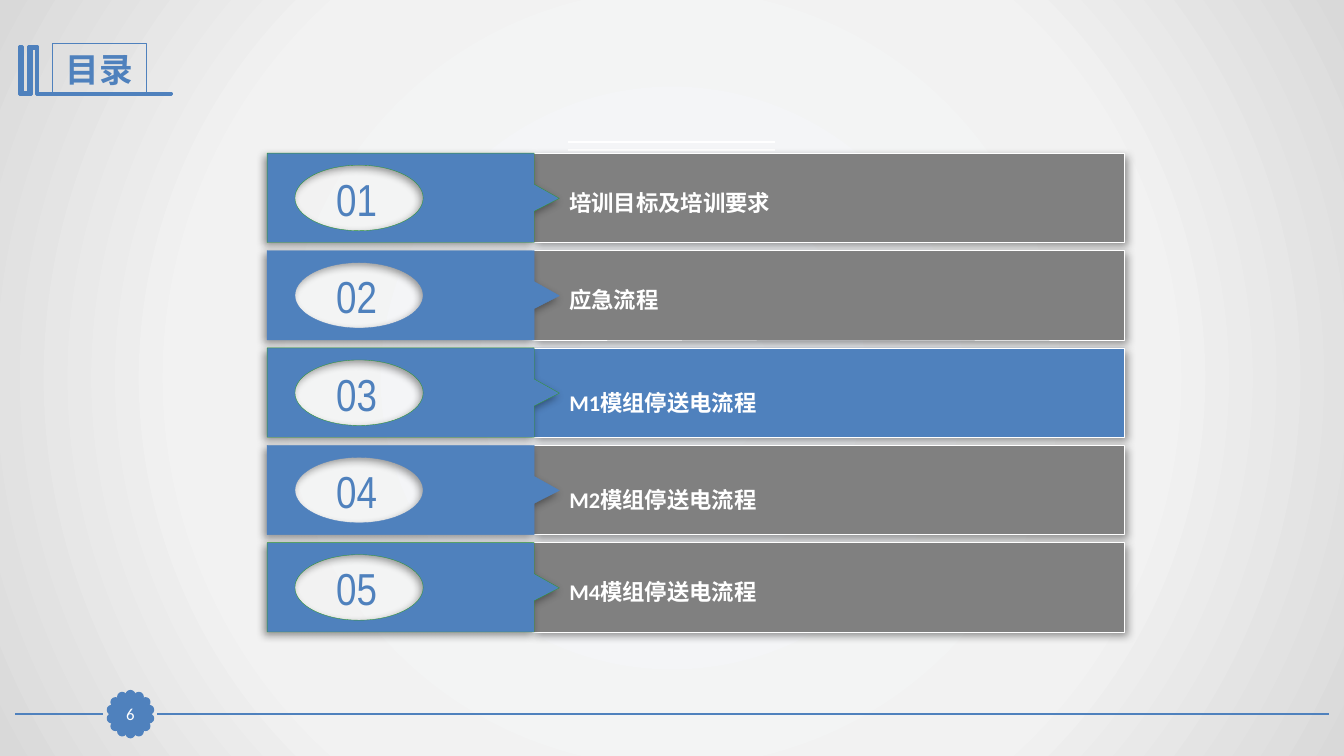
from math import cos, pi, sin

from pptx import Presentation
from pptx.dml.color import RGBColor
from pptx.enum.shapes import MSO_CONNECTOR, MSO_SHAPE
from pptx.enum.text import MSO_ANCHOR, PP_ALIGN
from pptx.oxml import parse_xml
from pptx.oxml.ns import nsdecls
from pptx.util import Pt

HUES = {"blue": "4F81BD", "cyan": "28A9D6", "grey": "808080",
        "green": "339933", "white": "FFFFFF", "black": "000000",
        "core": "F6F9FC", "mid": "F2F2F2", "edge": "D9D9D9"}


def paint(shape, line, width, fill=None, angle=None):
    """Set outline and fill; angle in degrees adds a soft shadow, None removes it."""
    shape.line.color.rgb = RGBColor.from_string(HUES[line])
    shape.line.width = Pt(width)
    if fill:
        shape.fill.solid()
        shape.fill.fore_color.rgb = RGBColor.from_string(HUES[fill])
    shade = "" if angle is None else (
        f'<a:outerShdw blurRad="{Pt(6)}" dist="{Pt(3)}" dir="{angle * 60000}" '
        f'algn="tl" rotWithShape="0"><a:srgbClr val="{HUES["black"]}">'
        '<a:alpha val="40000"/></a:srgbClr></a:outerShdw>')
    shape.element.spPr.append(
        parse_xml(f'<a:effectLst {nsdecls("a")}>{shade}</a:effectLst>'))


def write(shape, text, size, hue, font="Calibri", bold=False,
          align=PP_ALIGN.LEFT, anchor=MSO_ANCHOR.TOP, space=None, inset=None):
    frame = shape.text_frame
    frame.word_wrap = True
    frame.vertical_anchor = anchor
    if inset is not None:
        frame.margin_left = frame.margin_right = Pt(inset)
        frame.margin_top = frame.margin_bottom = Pt(inset)
    para = frame.paragraphs[0]
    para.alignment = align
    para.line_spacing = space
    run = para.add_run()
    run.text = text
    run.font.name = font
    run.font.size = Pt(size)
    run.font.bold = bold
    run.font.color.rgb = RGBColor.from_string(HUES[hue])


deck = Presentation()
deck.slide_width, deck.slide_height = Pt(960), Pt(540)
slide = deck.slides.add_slide(deck.slide_layouts[5])
shapes = slide.shapes

# Radial background
stops = "".join(
    f'<a:gs pos="{pos}000"><a:srgbClr val="{HUES[hue]}"/></a:gs>'
    for pos, hue in ((0, "core"), (63, "mid"), (100, "edge")))
slide.element.cSld.insert(0, parse_xml(
    f'<p:bg {nsdecls("p", "a")}><p:bgPr><a:gradFill><a:gsLst>{stops}</a:gsLst>'
    '<a:path path="circle"><a:fillToRect l="50000" t="50000" r="50000" '
    'b="50000"/></a:path></a:gradFill><a:effectLst/></p:bgPr></p:bg>'))

# Title with book mark
title = shapes.title
title.left, title.top, title.width, title.height = Pt(37.4), Pt(31), Pt(67), Pt(36)
paint(title, "blue", 0.75)
write(title, "目录", 24, "blue", font="Arial Narrow", bold=True,
      align=PP_ALIGN.CENTER, anchor=MSO_ANCHOR.MIDDLE)

book = [(27.2, 33.2), (27.2, 66.4), (122.7, 66.4), (122.7, 67.4), (26, 67.4),
        (26, 34.5), (22.4, 34.5), (22.4, 67.4), (13.8, 67.4), (13.8, 33.2),
        (16.2, 33.2), (16.2, 65.8), (20.2, 65.8), (20.2, 33.2)]
pen = shapes.build_freeform(Pt(book[0][0]), Pt(book[0][1]))
pen.add_line_segments([(Pt(x), Pt(y)) for x, y in book[1:]])
paint(pen.convert_to_shape(), "blue", 2, "cyan")

# Footer rules and the white rules above the list
for start, end, y, hue, width in (
        (949, 112.3, 510.1, "blue", 1.25), (73.4, 10.8, 510.1, "blue", 1.25),
        (406, 553.7, 101.5, "white", 1.5), (406, 553.7, 107.3, "white", 1.5)):
    rule = shapes.add_connector(MSO_CONNECTOR.STRAIGHT, Pt(start), Pt(y), Pt(end), Pt(y))
    paint(rule, hue, width)

# Page badge: a ring of dots around a square
DOTS, RING, DOT = 14, 13.7, 5.2
wreath = shapes.add_group_shape().shapes
for n in range(DOTS):
    turn = 2 * pi * n / DOTS
    dot = wreath.add_shape(
        MSO_SHAPE.OVAL, Pt(93.2 + RING * sin(turn) - DOT / 2),
        Pt(510.1 - RING * cos(turn) - DOT / 2), Pt(DOT), Pt(DOT))
    paint(dot, "blue", 2, "blue")
badge = shapes.add_shape(MSO_SHAPE.RECTANGLE, Pt(81.6), Pt(498.8), Pt(23.2), Pt(22.6))
paint(badge, "blue", 0.75, "blue")
write(badge, "6", 12, "white", align=PP_ALIGN.CENTER,
      anchor=MSO_ANCHOR.MIDDLE, inset=0)

# Agenda rows: text, bar colour, tag outline, line spacing
rows = [("培训目标及培训要求", "grey", "green", None),
        ("应急流程", "grey", "blue", None),
        ("M1模组停送电流程", "blue", "green", 1.2),
        ("M2模组停送电流程", "grey", "blue", 1.2),
        ("M4模组停送电流程", "grey", "green", None)]
LEFT, TOP, STEP, HIGH = 190.8, 109.4, 69.55, 63.8
flag = [(0, 0), (190.8, 0), (190.8, 22.2), (208.8, 32.3),
        (190.8, 41.5), (190.8, HIGH), (0, HIGH)]

# Oval hole in the tag: four curves, offsets in units of its radii
MIDX, MIDY, RADX, RADY, BEND = 65.7, 32, 45.8, 23.4, 0.55
curves = [[(0, -1)],
          [(-BEND, -1), (-1, -BEND), (-1, 0)], [(-1, BEND), (-BEND, 1), (0, 1)],
          [(BEND, 1), (1, BEND), (1, 0)], [(1, -BEND), (BEND, -1), (0, -1)]]
hole = []
for curve in curves:
    dots = "".join(f'<a:pt x="{Pt(MIDX + RADX * x)}" y="{Pt(MIDY + RADY * y)}"/>'
                   for x, y in curve)
    tag = "cubicBezTo" if len(curve) == 3 else "moveTo"
    hole.append(f'<a:{tag} {nsdecls("a")}>{dots}</a:{tag}>')
hole.append(f'<a:close {nsdecls("a")}/>')

for n, (text, fill, rim, space) in enumerate(rows):
    top = TOP + n * STEP
    row = shapes.add_group_shape().shapes
    bar = row.add_shape(MSO_SHAPE.RECTANGLE, Pt(380.2), Pt(top), Pt(422.9), Pt(HIGH))
    paint(bar, "white", 0.25, fill, angle=45)

    side = [(Pt(LEFT + x), Pt(top + y)) for x, y in flag]
    pen = row.build_freeform(*side[0])
    pen.add_line_segments(side[1:])
    flap = pen.convert_to_shape()
    trace = flap.element.xpath(".//a:pathLst/a:path")[0]
    for at, part in enumerate(hole):
        trace.insert(at, parse_xml(part))
    paint(flap, rim, 0.25, "blue", angle=135)

    count = row.add_textbox(Pt(218.5), Pt(top + 9.3), Pt(72.6), Pt(46))
    write(count, f"{n + 1:02}", 32, "blue", font="Arial Narrow",
          align=PP_ALIGN.CENTER, anchor=MSO_ANCHOR.MIDDLE)
    label = row.add_textbox(Pt(399.6), Pt(top + 21.9), Pt(403.9), Pt(26.6))
    write(label, text, 16, "white", bold=True, space=space)

deck.save("out.pptx")
